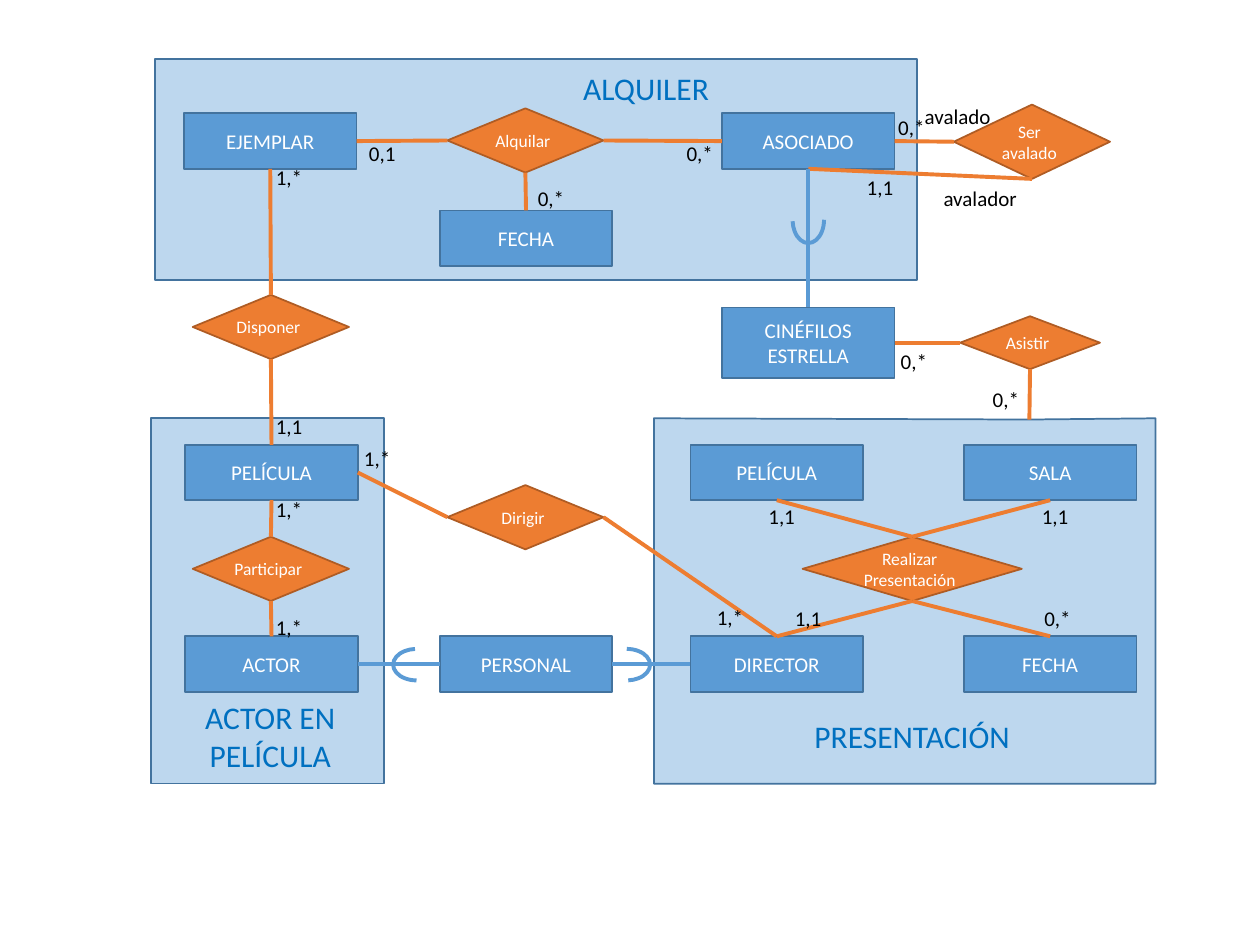
from dataclasses import dataclass

from lxml import etree
from pptx import Presentation, util as u
from pptx.dml.color import RGBColor
from pptx.enum import shapes, text


@dataclass(frozen=True)
class Theme:
    """Colours, type sizes and line widths of the diagram."""
    font: str = "Calibri"
    panel: str = "BDD7EE"
    blue: str = "5B9BD5"
    navy: str = "43739E"
    orange: str = "ED7D31"
    rust: str = "AF5C24"
    title: str = "0070C0"
    black: str = "000000"
    white: str = "FFFFFF"
    big: int = 18
    mid: int = 12
    small: int = 10
    thin: float = 1
    thick: float = 2.25


T = Theme()
COLS, ROWS = 1000, 750
UNIT = u.Inches(10) // COLS
TOP, LEFT, BOTTOM, RIGHT = range(4)
KIND = shapes.MSO_SHAPE

prs = Presentation()
prs.slide_width, prs.slide_height = COLS * UNIT, ROWS * UNIT
slide = prs.slides.add_slide(prs.slide_layouts[6])
art = slide.shapes


def grid(*cells):
    """Turn grid columns and rows into slide lengths."""
    return [round(cell * UNIT) for cell in cells]


def shift(box, x, y):
    """Give the grid place that lies x, y inside a box."""
    return box[0] + x, box[1] + y


def paint(shape, fill, line, width=T.thin):
    """Set fill and outline; no fill leaves the shape open."""
    shape.shadow.inherit = False
    if fill:
        shape.fill.solid()
        shape.fill.fore_color.rgb = RGBColor.from_string(fill)
    else:
        shape.fill.background()
    shape.line.color.rgb = RGBColor.from_string(line)
    shape.line.width = u.Pt(width)
    return shape


def write(shape, words, size, color, align, **frame):
    """Write words in a shape, with the given frame values."""
    for key, value in frame.items():
        setattr(shape.text_frame, key, value)
    para = shape.text_frame.paragraphs[0]
    para.alignment = align
    run = para.add_run()
    run.text = words
    for key, value in {"name": T.font, "size": u.Pt(size)}.items():
        setattr(run.font, key, value)
    run.font.color.rgb = RGBColor.from_string(color)


def panel(box):
    """Draw the pale ground of a region."""
    paint(art.add_shape(KIND.RECTANGLE, *grid(*box)), T.panel, T.navy)


def entity(box, words, x, y, high=44):
    """Add a blue entity box."""
    node = art.add_shape(KIND.RECTANGLE, *grid(*shift(box, x, y), 137, high))
    paint(node, T.blue, T.navy)
    write(node, words, T.mid, T.white, text.PP_ALIGN.CENTER, word_wrap=True,
          vertical_anchor=text.MSO_ANCHOR.MIDDLE)
    return node


def relation(box, words, x, y, wide=124, high=51):
    """Add an orange relation diamond."""
    node = art.add_shape(KIND.DIAMOND, *grid(*shift(box, x, y), wide, high))
    paint(node, T.orange, T.rust)
    write(node, words, T.small, T.white, text.PP_ALIGN.CENTER, word_wrap=True,
          vertical_anchor=text.MSO_ANCHOR.MIDDLE,
          margin_left=0, margin_right=u.Inches(0.04))
    return node


def label(box, words, x, y, wide=41, high=30, size=T.mid, color=T.black,
          align=text.PP_ALIGN.LEFT, wrap=False):
    """Add plain text, such as a count or a title."""
    note = art.add_textbox(*grid(*shift(box, x, y), wide, high))
    write(note, words, size, color, align, word_wrap=wrap,
          auto_size=text.MSO_AUTO_SIZE.SHAPE_TO_FIT_TEXT)


def title(box, words, x, y, wide, high=40, **form):
    """Add the name of a region."""
    label(box, words, x, y, wide, high, T.big, T.title, **form)


def link(start, side, end, face, color=T.orange):
    """Join two nodes; start may also be a grid place, with no side."""
    spot = grid(*start) if side is None else (0, 0)
    line = art.add_connector(shapes.MSO_CONNECTOR.STRAIGHT, *spot, *spot)
    if side is not None:
        line.begin_connect(start, side)
    line.end_connect(end, face)
    line.line.color.rgb = RGBColor.from_string(color)
    line.line.width = u.Pt(T.thick)
    props = line._element.spPr
    etree.SubElement(props, props.tag.replace("}spPr", "}effectLst").replace(
        "presentationml", "drawingml").replace("/2006/main", "/2006/main"))


def subset(box, x, y, turn):
    """Add the half ring that marks a subset."""
    arc = art.add_shape(KIND.ARC, *grid(*shift(box, x, y), 37, 25))
    arc.adjustments[0], arc.adjustments[1] = 162, 50.73
    arc.rotation = turn
    paint(arc, None, T.blue, T.thick)


def rental(box):
    """Build the rental region; return its copy and member nodes."""
    panel(box)
    copy = entity(box, "EJEMPLAR", 23, 43)
    member = entity(box, "ASOCIADO", 450, 43)
    date = entity(box, "FECHA", 226, 120)
    rent = relation(box, "Alquilar", 232, 39)
    link(copy, RIGHT, rent, LEFT)
    link(rent, RIGHT, member, LEFT)
    link(rent, BOTTOM, date, TOP)
    title(box, "ALQUILER", 330, 3, 120)
    for words, x, y in (("0,*", 412, 60), ("0,1", 160, 60),
                        ("1,*", 86, 79), ("0,*", 294, 95)):
        label(box, words, x, y)
    return copy, member


def cast(box):
    """Build the cast region; return its film and actor nodes."""
    panel(box)
    film = entity(box, "PELÍCULA", 27, 21)
    actor = entity(box, "ACTOR", 27, 173)
    act = relation(box, "Participar", 33, 94)
    link(act, TOP, film, BOTTOM)
    link(act, BOTTOM, actor, TOP)
    for y in (57, 151):
        label(box, "1,*", 89, y)
    title(box, "ACTOR EN PELÍCULA", 26, 217, 137, 71,
          align=text.PP_ALIGN.CENTER, wrap=True)
    return film, actor


def screening(box):
    """Build the screening region; return its director and top joint."""
    left, top, wide, high = box
    joint = shift(box, 298, 1)
    path = art.build_freeform(*grid(left, top), scale=1.0)
    path.add_line_segments([grid(*spot) for spot in (
        joint, (left + wide, top), (left + wide, top + high),
        (left, top + high))], close=True)
    paint(path.convert_to_shape(), T.panel, T.navy)
    show = relation(box, "Realizar Presentación", 118, 94, 174)
    nodes = {}
    for words, x, y, near, far in (("PELÍCULA", 29, 21, TOP, BOTTOM),
                                   ("SALA", 246, 21, TOP, BOTTOM),
                                   ("DIRECTOR", 29, 173, BOTTOM, TOP),
                                   ("FECHA", 246, 173, BOTTOM, TOP)):
        nodes[words] = entity(box, words, x, y)
        link(show, near, nodes[words], far)
    for words, x, y in (("1,1", 81, 63), ("1,1", 298, 63),
                        ("1,1", 102, 144), ("0,*", 300, 144)):
        label(box, words, x, y)
    title(box, "PRESENTACIÓN", 77, 232, 256,
          align=text.PP_ALIGN.CENTER, wrap=True)
    return nodes["DIRECTOR"], joint


def guild(box, member, joint):
    """Build the member relations and the star members."""
    star = entity(box, "CINÉFILOS ESTRELLA", 0, 167, 56)
    vouch = relation(box, "Ser avalado", 184, 6, high=59)
    attend = relation(box, "Asistir", 189, 174, 111, 42)
    link(member, RIGHT, vouch, LEFT)
    link(vouch, BOTTOM, member, BOTTOM)
    link(member, BOTTOM, star, TOP, T.blue)
    subset(box, 50, 85, 90)
    link(star, RIGHT, attend, LEFT)
    link(joint, None, attend, BOTTOM)
    for words, x, y in (("0,*", 130, 9), ("1,1", 105, 57),
                        ("0,*", 132, 195), ("0,*", 205, 225)):
        label(box, words, x, y)
    label(box, "avalado", 151, 0, 79, wrap=True)
    label(box, "avalador", 166, 65, 78)


def bridge(box, copy, film, actor, chief):
    """Join the regions through shared relations and the staff."""
    own = relation(box, "Disponer", 153, 234)
    direct = relation(box, "Dirigir", 355, 385)
    staff = entity(box, "PERSONAL", 349, 505)
    link(own, TOP, copy, BOTTOM)
    link(own, BOTTOM, film, TOP)
    link(direct, LEFT, film, RIGHT)
    link(direct, RIGHT, chief, TOP)
    link(actor, RIGHT, staff, LEFT, T.blue)
    link(staff, RIGHT, chief, LEFT, T.blue)
    subset(box, 312, 515, 180)
    subset(box, 479, 515, 0)
    for words, x, y in (("1,1", 209, 323), ("1,*", 279, 349),
                        ("1,*", 559, 475)):
        label(box, words, x, y)


director, door = screening((519, 332, 398, 290))
item, partner = rental((123, 47, 605, 175))
movie, player = cast((120, 332, 185, 290))
guild((573, 77, 308, 255), partner, door)
bridge((0, 0, COLS, ROWS), item, movie, player, director)
prs.save("out.pptx")
